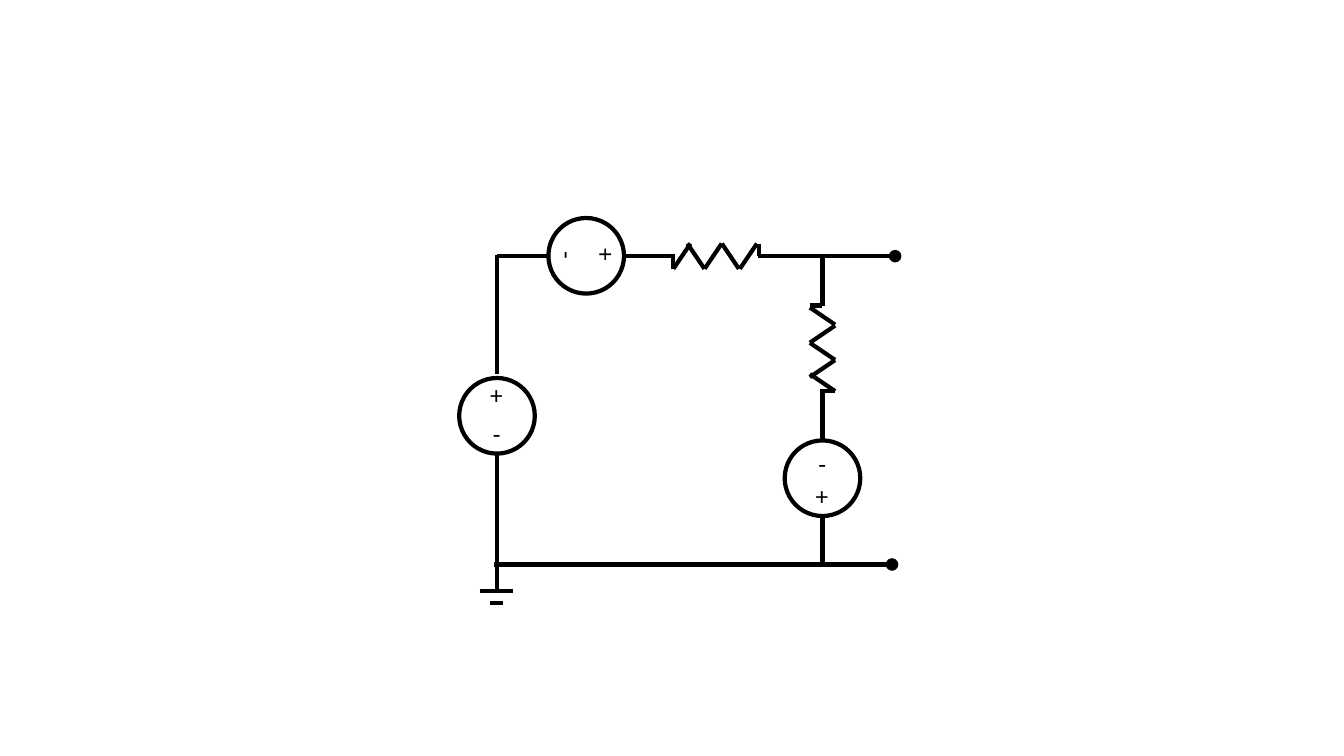
from dataclasses import dataclass

from lxml import etree
from pptx import Presentation
from pptx import util as u
from pptx.dml.color import RGBColor
from pptx.enum import shapes, text
from pptx.oxml import ns

COLORS = {"ink": "000000"}
FONT = "Calibri"
INK = RGBColor.from_string(COLORS["ink"])
LINE_WIDTH = 3

# Circuit rails and component sizes, in points
LEFT, RIGHT, TOP, BOTTOM = 355, 587.5, 183, 403.2
SOURCE_SIZE = 54
SIGN_HEIGHT = 28.8
SIGN_WIDTHS = {"+": 23.8, "-": 20.2}
ZIGZAG_STARTS = (0, 10, 22.3, 34.6, 47.5)
ZIGZAG_RUN, ZIGZAG_SWING, ZIGZAG_LENGTH = 12.2, 9, 61.2


@dataclass
class Wire:
    x1: float
    y1: float
    x2: float
    y2: float
    terminal: bool = False


@dataclass
class VoltageSource:
    x: float
    y: float
    plus_offset: float
    minus_offset: float
    horizontal: bool = False


@dataclass
class Resistor:
    x: float
    y: float
    upward: bool = False


WIRES = [
    # Upper rail
    Wire(LEFT, TOP, 391.7, TOP),
    Wire(446.4, TOP, 482.4, TOP),
    Wire(541.4, TOP, 577.4, TOP),
    Wire(577.4, TOP, 639.4, TOP, terminal=True),
    # Left branch and ground
    Wire(LEFT, 182.2, LEFT, 267.1),
    Wire(LEFT, 324, LEFT, 421.9),
    Wire(342.7, 421.9, 366.5, 421.9),
    Wire(349.9, 430.6, 359.3, 430.6),
    # Right branch
    Wire(RIGHT, TOP, RIGHT, 218.9),
    Wire(RIGHT, 277.9, RIGHT, 313.9),
    Wire(RIGHT, 368.6, RIGHT, 404.6),
    # Lower rail
    Wire(352.8, BOTTOM, 637.2, BOTTOM, terminal=True),
]

SOURCES = [
    VoltageSource(418.7, 182.7, 15.1, -12.6, horizontal=True),
    VoltageSource(LEFT, 297, -15.5, 12.6),
    VoltageSource(RIGHT, 341.6, 12.6, -10.4),
]

RESISTORS = [Resistor(481, TOP), Resistor(RIGHT, 279.4, upward=True)]


def draw_wire(slide, wire: Wire) -> None:
    connector = slide.shapes.add_connector(
        shapes.MSO_CONNECTOR.STRAIGHT,
        u.Pt(wire.x1), u.Pt(wire.y1), u.Pt(wire.x2), u.Pt(wire.y2),
    )
    connector.line.color.rgb = INK
    connector.line.width = u.Pt(LINE_WIDTH)
    properties = connector._element.spPr
    if wire.terminal:
        line = properties.find(ns.qn("a:ln"))
        etree.SubElement(line, ns.qn("a:tailEnd"), type="oval")
    etree.SubElement(properties, ns.qn("a:effectLst"))


def draw_resistor(slide, resistor: Resistor) -> None:
    # Each stroke holds distances along and across the resistor's axis
    swing, end = ZIGZAG_SWING, ZIGZAG_LENGTH
    strokes = [(0, 0, 0, swing), (end, -swing, end, 0)]
    for index, start in enumerate(ZIGZAG_STARTS):
        side = swing if index % 2 == 0 else -swing
        strokes.append((start, side, start + ZIGZAG_RUN, -side))
    for along1, across1, along2, across2 in strokes:
        if resistor.upward:
            wire = Wire(resistor.x + across1, resistor.y - along1,
                        resistor.x + across2, resistor.y - along2)
        else:
            wire = Wire(resistor.x + along1, resistor.y + across1,
                        resistor.x + along2, resistor.y + across2)
        draw_wire(slide, wire)


def draw_sign(slide, sign: str, x: float, y: float, rotation: float) -> None:
    width = SIGN_WIDTHS[sign]
    box = slide.shapes.add_textbox(
        u.Pt(x - width / 2), u.Pt(y - SIGN_HEIGHT / 2),
        u.Pt(width), u.Pt(SIGN_HEIGHT),
    )
    box.rotation = rotation
    text_frame = box.text_frame
    text_frame.word_wrap = False
    text_frame.auto_size = text.MSO_AUTO_SIZE.SHAPE_TO_FIT_TEXT
    text_frame.text = sign
    font = text_frame.paragraphs[0].runs[0].font
    font.name = FONT
    font.size = u.Pt(18)
    font.color.rgb = INK


def draw_source(slide, source: VoltageSource) -> None:
    rotation = 90 if source.horizontal else 0
    circle = slide.shapes.add_shape(
        shapes.MSO_SHAPE.OVAL,
        u.Pt(source.x - SOURCE_SIZE / 2), u.Pt(source.y - SOURCE_SIZE / 2),
        u.Pt(SOURCE_SIZE), u.Pt(SOURCE_SIZE),
    )
    circle.rotation = rotation
    circle.shadow.inherit = False
    circle.fill.background()
    circle.line.color.rgb = INK
    circle.line.width = u.Pt(LINE_WIDTH)
    for sign, offset in (("+", source.plus_offset), ("-", source.minus_offset)):
        if source.horizontal:
            draw_sign(slide, sign, source.x + offset, source.y, rotation)
        else:
            draw_sign(slide, sign, source.x, source.y + offset, rotation)


def main() -> None:
    presentation = Presentation()
    presentation.slide_width = u.Pt(960)
    presentation.slide_height = u.Pt(540)
    slide = presentation.slides.add_slide(presentation.slide_layouts[6])
    for wire in WIRES:
        draw_wire(slide, wire)
    for resistor in RESISTORS:
        draw_resistor(slide, resistor)
    for source in SOURCES:
        draw_source(slide, source)
    presentation.save("out.pptx")


if __name__ == "__main__":
    main()
